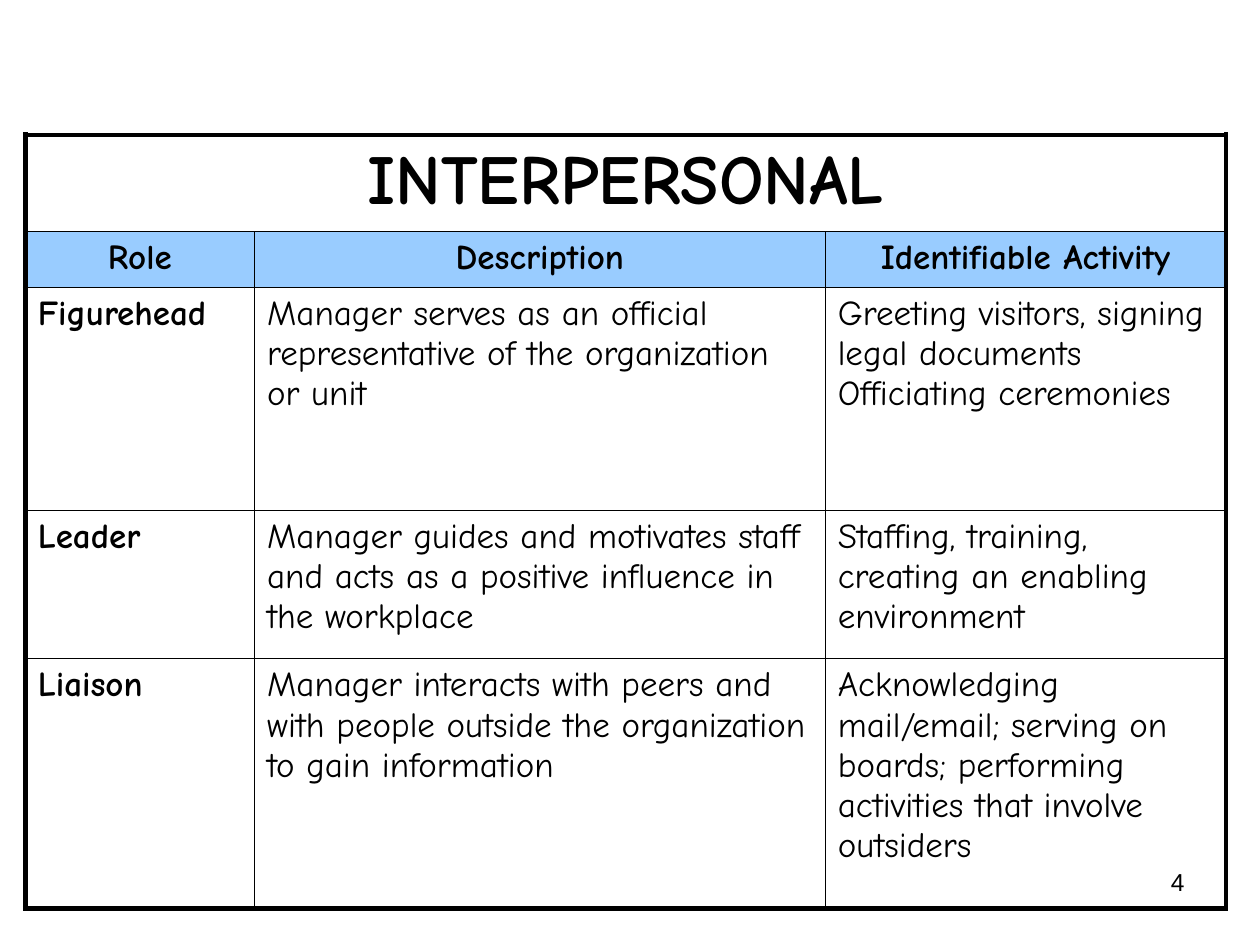
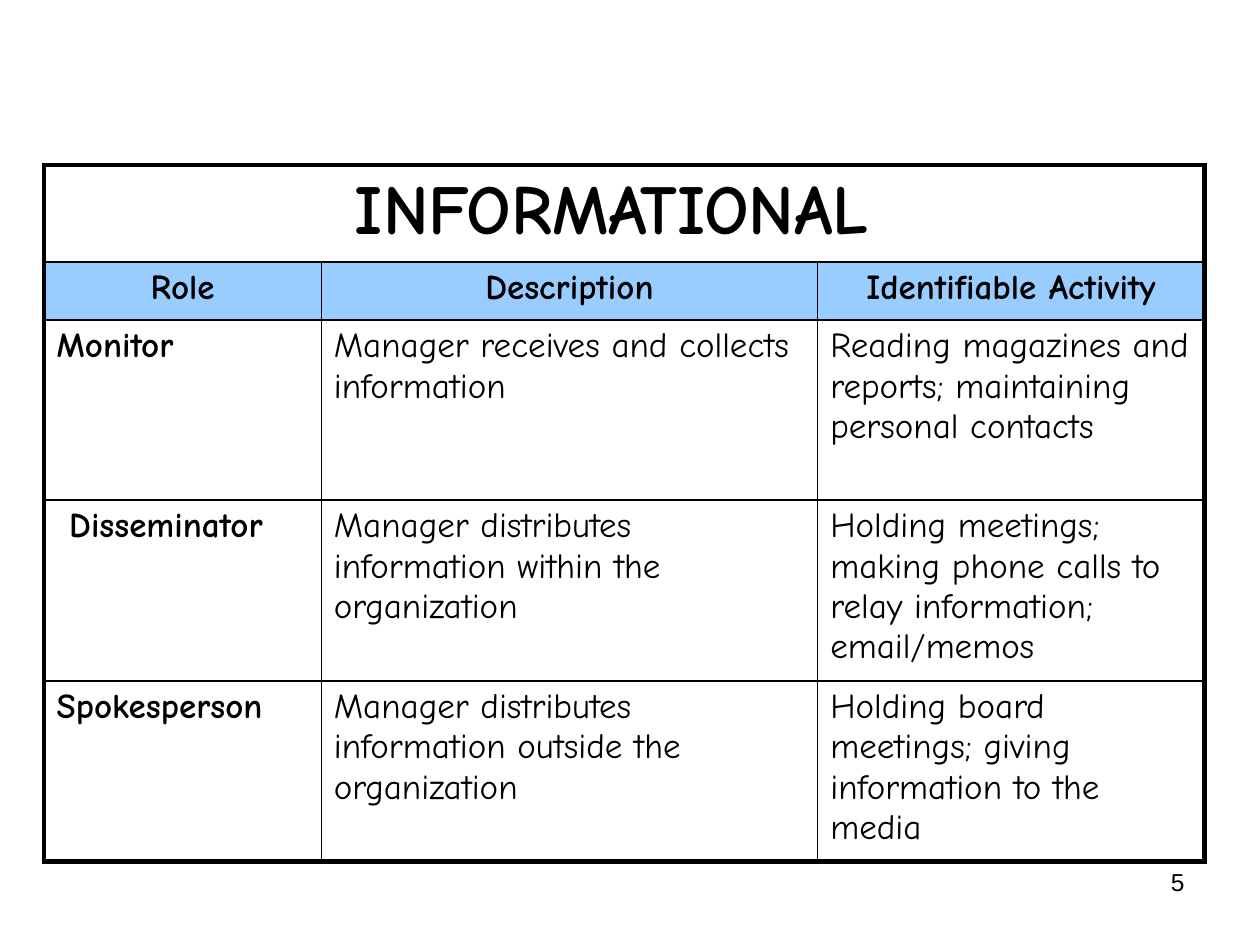
from lxml import etree
from pptx import Presentation
from pptx.dml.color import RGBColor
from pptx.enum.text import PP_ALIGN
from pptx.oxml.ns import qn
from pptx.util import Inches, Pt

CENTER, LEFT, RIGHT = PP_ALIGN.CENTER, PP_ALIGN.LEFT, PP_ALIGN.RIGHT
BLANK_LAYOUT = 6
HEADINGS = ["Role", "Description", "Identifiable Activity"]


def rgb(color):
    return RGBColor.from_string(color)


class Deck:
    FONT, NUMBER_FONT = "Comic Neue", "Arial"
    INK, BAND = "000000", "99CCFF"
    TITLE_SIZE, TEXT_SIZE, NUMBER_SIZE = 40, 20, 14
    FRAME_WIDTH = 3

    def __init__(self):
        self.prs = Presentation()
        self.prs.slide_width, self.prs.slide_height = Inches(10), Inches(7.5)
        self.slide = None

    def add_slide(self):
        self.slide = self.prs.slides.add_slide(self.prs.slide_layouts[BLANK_LAYOUT])

    def set_text(self, tf, text, size, align=LEFT, bold=False, font=FONT):
        """Fill a text frame, one paragraph per line of text."""
        tf.word_wrap = True
        tf.text = text
        for p in tf.paragraphs:
            p.alignment = align
            p.font.name, p.font.size, p.font.bold = font, Pt(size), bold
            p.font.color.rgb = rgb(self.INK)

    def page_number(self, number):
        box = self.slide.shapes.add_textbox(
            Inches(7.17), Inches(6.83), Inches(2.33), Inches(0.52))
        self.set_text(box.text_frame, str(number), self.NUMBER_SIZE, RIGHT,
                      font=self.NUMBER_FONT)

    def borders(self, cell, widths):
        """Draw cell borders; widths maps L, R, T, B (in schema order) to points."""
        tcPr = cell._tc.get_or_add_tcPr()
        for i, (side, width) in enumerate(widths.items()):
            ln = etree.Element(qn(f"a:ln{side}"), w=str(Pt(width)))
            fill = etree.SubElement(ln, qn("a:solidFill"))
            etree.SubElement(fill, qn("a:srgbClr"), val=self.INK)
            tcPr.insert(i, ln)

    def role_table(self, left, top, cols, rows, line, title, roles):
        """Title row, blue heading row, then one row per role, in a thick frame."""
        frame = self.slide.shapes.add_table(
            len(rows), len(cols), Inches(left), Inches(top),
            Inches(sum(cols)), Inches(sum(rows)))
        table = frame.table
        table.first_row = table.horz_banding = False
        for column, width in zip(table.columns, cols):
            column.width = Inches(width)
        for row, height in zip(table.rows, rows):
            row.height = Inches(height)

        # Fills and borders
        last_row, last_col = len(rows) - 1, len(cols) - 1
        for r in range(len(rows)):
            for c in range(len(cols)):
                cell = table.cell(r, c)
                if r == 1:
                    cell.fill.solid()
                    cell.fill.fore_color.rgb = rgb(self.BAND)
                else:
                    cell.fill.background()
                on_frame = {"L": c == 0, "R": c == last_col or r == 0,
                            "T": r == 0, "B": r == last_row}
                self.borders(cell, {side: self.FRAME_WIDTH if edge else line
                                    for side, edge in on_frame.items()})

        # Text
        title_cell = table.cell(0, 0)
        title_cell.merge(table.cell(0, last_col))
        self.set_text(title_cell.text_frame, title, self.TITLE_SIZE, CENTER, True)
        for r, texts in enumerate([HEADINGS, *roles], start=1):
            for c, text in enumerate(texts):
                self.set_text(table.cell(r, c).text_frame, text, self.TEXT_SIZE,
                              CENTER if r == 1 else LEFT, r == 1 or c == 0)


def main():
    deck = Deck()

    # Interpersonal roles
    deck.add_slide()
    deck.page_number(4)
    deck.role_table(
        0.2, 1.07, [1.82, 4.53, 3.18], [0.77, 0.44, 1.77, 1.18, 1.98], 0.75,
        "INTERPERSONAL",
        [("Figurehead",
          "Manager serves as an official representative of the organization or unit",
          "Greeting visitors, signing legal documents\nOfficiating ceremonies"),
         ("Leader",
          "Manager guides and motivates staff and acts as a positive influence "
          "in the workplace",
          "Staffing, training, creating an enabling environment"),
         ("Liaison",
          "Manager interacts with peers and with people outside the organization "
          "to gain information",
          "Acknowledging mail/email; serving on boards; performing activities "
          "that involve outsiders")])

    # Informational roles
    deck.add_slide()
    deck.page_number(5)
    deck.role_table(
        0.35, 1.31, [2.2, 3.94, 3.07], [0.77, 0.46] + [1.43] * 3, 1,
        "INFORMATIONAL ",
        [("Monitor",
          "Manager receives and collects information",
          "Reading magazines and reports; maintaining personal contacts"),
         (" Disseminator",
          "Manager distributes information within the organization",
          "Holding meetings; making phone calls to relay information; email/memos"),
         ("Spokesperson",
          "Manager distributes information outside the organization",
          "Holding board meetings; giving information to the media")])

    deck.prs.save("out.pptx")


if __name__ == "__main__":
    main()
